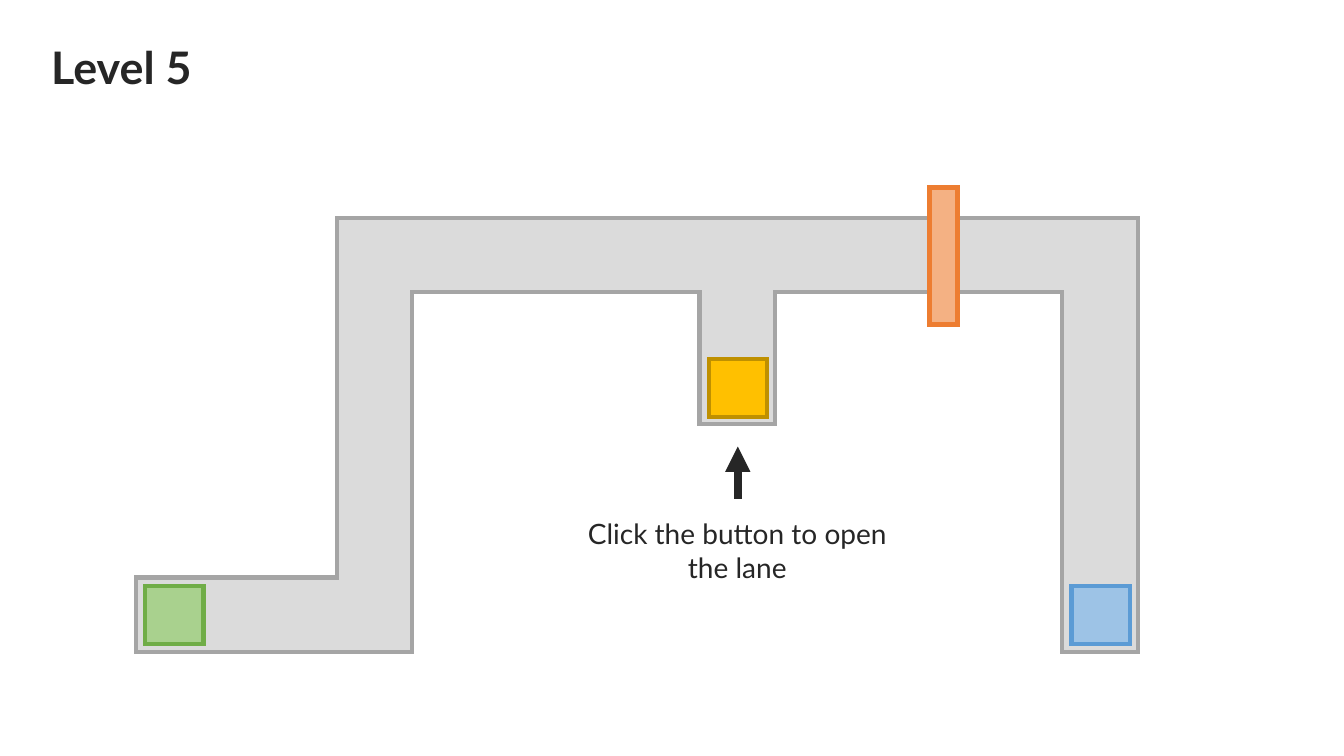
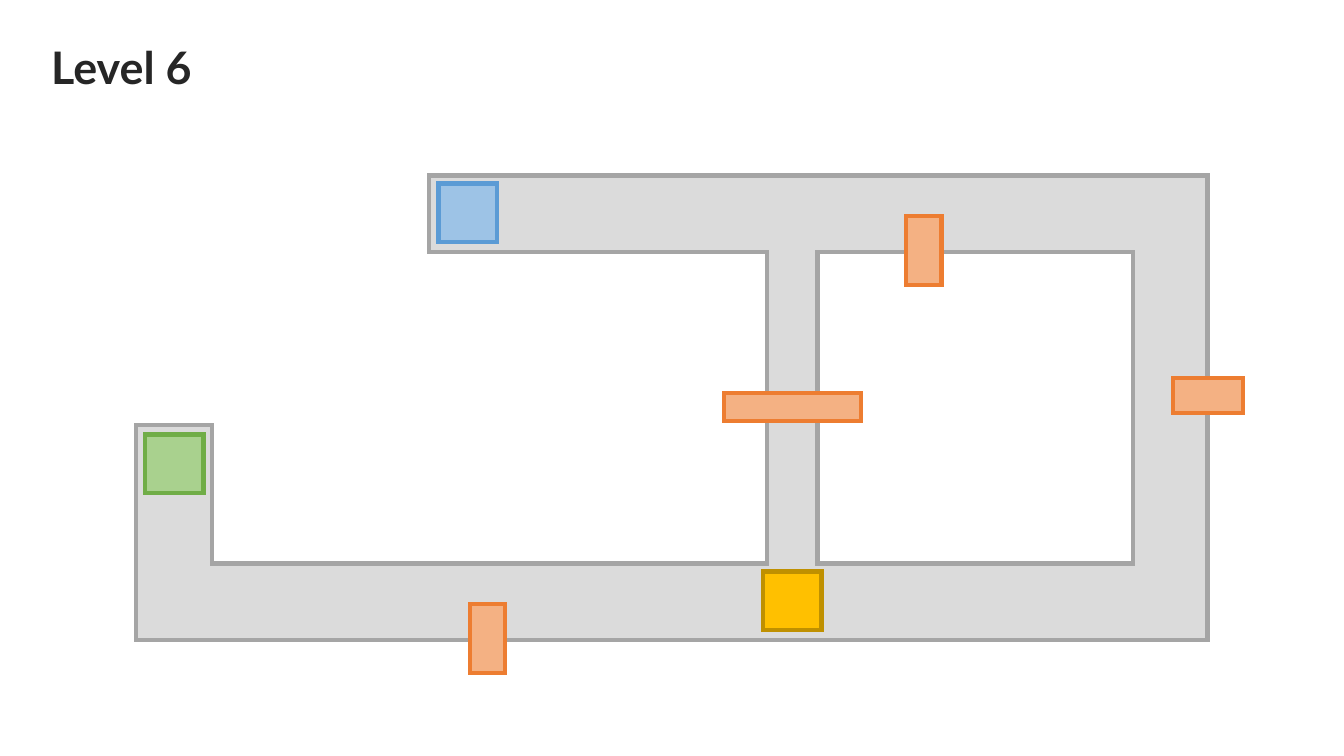
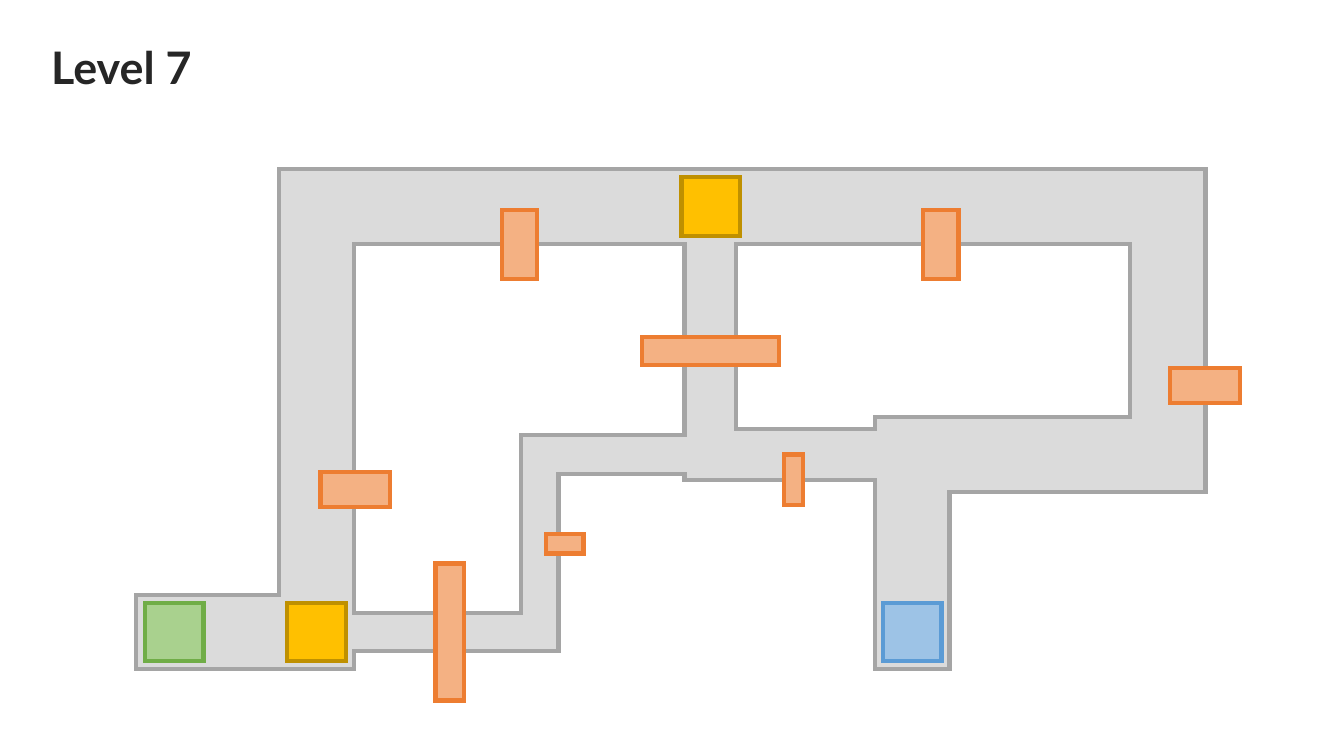
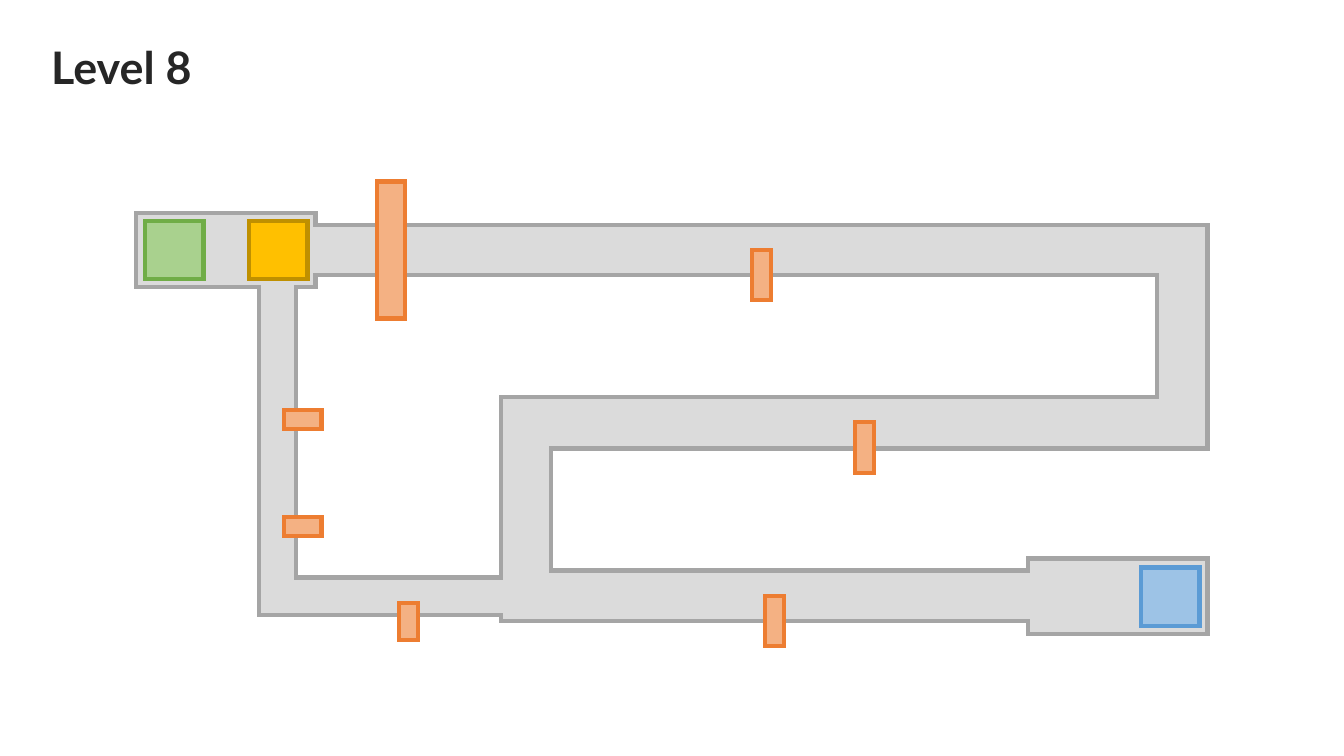
from dataclasses import dataclass
from itertools import chain

from lxml import etree
from pptx import Presentation
from pptx.dml.color import RGBColor
from pptx.enum.shapes import MSO_CONNECTOR, MSO_SHAPE
from pptx.enum.text import MSO_AUTO_SIZE, MSO_ANCHOR, PP_ALIGN
from pptx.oxml.ns import qn
from pptx.util import Inches, Pt

RECT = MSO_SHAPE.RECTANGLE
STRAIGHT = MSO_CONNECTOR.STRAIGHT
LEFT, CENTER = PP_ALIGN.LEFT, PP_ALIGN.CENTER
FIT, TOP = MSO_AUTO_SIZE.SHAPE_TO_FIT_TEXT, MSO_ANCHOR.TOP

COLS, ROWS = 133.33, 75
CELL = Inches(0.1)
INK = "262626"


@dataclass(frozen=True)
class Paint:
    fill: str
    edge: str


LANE = Paint("DBDBDB", "A5A5A5")
START = Paint("A9D18E", "70AD47")
GOAL = Paint("9DC3E6", "5B9BD5")
GATE = Paint("F4B183", "ED7D31")
BUTTON = Paint("FFC000", "BF9000")

TILE = (5.8, 5.8)
LONG, WIDE, SHORT, TINY = (2.8, 13.6), (3.5, 6.9), (1.9, 5), (1.9, 3.7)

Point = tuple[float, float]


@dataclass(frozen=True)
class Gate:
    size: Point
    mid: Point
    turn: int = 0


@dataclass(frozen=True)
class Level:
    """Each outline lists corner columns and rows in turn: x, y, x, y..."""
    title: str
    lanes: list[list[float]]
    start: Point
    goal: Point
    gates: list[Gate]
    buttons: list[Point]
    hint: tuple[str, ...] = ()


LEVELS = [
    Level(
        "Level 5",
        [[33.4, 21.6, 112.9, 64.7, 105.4, 29, 76.9, 42.1, 69.4, 29,
          40.9, 64.7, 13.5, 57.3]],
        (17.3, 61), (109.2, 61),
        [Gate(LONG, (93.6, 25.4))],
        [(73.2, 38.5)],
        ("Click the button to open", "the lane"),
    ),
    Level(
        "Level 6",
        [[81.1, 25, 112.4, 55.9],
         [42.6, 17.4, 119.8, 63.5, 13.5, 42.2, 21, 55.9, 76.1, 25]],
        (17.3, 46), (46.4, 21.1),
        [Gate(WIDE, (48.35, 63.35)), Gate(WIDE, (119.85, 39.25), 270),
         Gate(WIDE, (91.65, 24.85)), Gate(LONG, (78.6, 40.4), 270)],
        [(78.6, 59.6)],
    ),
    Level(
        "Level 7",
        [[73, 42.6, 86.8, 41.4, 112.1, 24.2],
         [35.1, 60.8, 51.7, 43.2, 67.9, 24.2],
         [27.7, 16.8, 119.6, 48.8, 94.2, 66.4, 86.8, 47.6, 67.9, 47,
          55.4, 64.6, 35.1, 66.4, 13.5, 59]],
        (17.3, 62.7), (90.5, 62.7),
        [Gate(WIDE, (51.55, 24.25)), Gate(WIDE, (93.35, 24.25)),
         Gate(WIDE, (119.55, 38.25), 270), Gate(WIDE, (35.25, 48.55), 270),
         Gate(SHORT, (78.75, 47.6)), Gate(TINY, (56.05, 53.95), 270),
         Gate(LONG, (44.6, 62.7)), Gate(LONG, (70.5, 34.8), 270)],
        [(70.5, 20.5), (31.4, 62.7)],
    ),
    Level(
        "Level 8",
        [[31.3, 28.5, 29.4, 57.3, 49.7, 39.4, 114.8, 27.3],
         [13.5, 21.1, 31.3, 22.3, 119.8, 44.5, 54.7, 56.6, 102, 55.4,
          119.8, 62.9, 102, 61.6, 49.7, 61, 25.7, 28.5]],
        (17.3, 24.8), (116.1, 59.2),
        [Gate(SHORT, (75.55, 27.3)), Gate(SHORT, (85.75, 44.4)),
         Gate(SHORT, (76.85, 61.6)), Gate(TINY, (30.05, 41.65), 270),
         Gate(TINY, (30.05, 52.25), 270), Gate(TINY, (40.55, 61.65)),
         Gate(LONG, (38.8, 24.8))],
        [(27.6, 24.8)],
    ),
]


def color(code: str) -> RGBColor:
    return RGBColor.from_string(code)


def grid(*cells: float) -> list[int]:
    """Turn grid cells into slide units."""
    return [round(cell * CELL) for cell in cells]


def coat(shape, paint: Paint) -> None:
    """Give a shape its fill and a sharp-cornered edge."""
    shape.shadow.inherit = False
    shape.fill.solid()
    shape.fill.fore_color.rgb = color(paint.fill)
    shape.line.color.rgb = color(paint.edge)
    shape.line.width = Pt(3)
    edge = shape.element.spPr.find(qn("a:ln"))
    etree.SubElement(edge, qn("a:miter"), lim="800000")


def block(slide, size: Point, mid: Point, paint: Paint, turn: int = 0) -> None:
    """Draw a rectangle about its middle."""
    (wide, high), (x, y) = size, mid
    box = grid(x - wide / 2, y - high / 2, wide, high)
    shape = slide.shapes.add_shape(RECT, *box)
    shape.rotation = turn
    coat(shape, paint)


def corners(turns: list[float]) -> list[list[int]]:
    """Expand alternating columns and rows into right-angled corners."""
    xs, ys = turns[::2], turns[1::2]
    ends = xs[1:] + xs[:1]
    pairs = chain.from_iterable(
        ((x, y), (end, y)) for x, end, y in zip(xs, ends, ys))
    return [grid(*pair) for pair in pairs]


def lane(slide, paths: list[list[float]]) -> None:
    first, *rest = map(corners, paths)
    pen = slide.shapes.build_freeform(*first[0])
    pen.add_line_segments(first[1:], close=True)
    for path in rest:
        pen.move_to(*path[0])
        pen.add_line_segments(path[1:], close=True)
    coat(pen.convert_to_shape(), LANE)


def label(slide, box: tuple[float, ...], lines: tuple[str, ...], size: int,
          bold: bool = False, align: PP_ALIGN = LEFT) -> None:
    frame = slide.shapes.add_textbox(*grid(*box)).text_frame
    frame.text = "\n".join(lines)
    for key, value in {"word_wrap": False, "auto_size": FIT,
                       "vertical_anchor": TOP}.items():
        setattr(frame, key, value)
    style = {"name": "Lato", "size": Pt(size), "bold": bold}
    for para in frame.paragraphs:
        para.alignment = align
        for run in para.runs:
            run.font.color.rgb = color(INK)
            for key, value in style.items():
                setattr(run.font, key, value)


def arrow(slide, tail: Point, tip: Point) -> None:
    line = slide.shapes.add_connector(STRAIGHT, *grid(*tail, *tip))
    line.line.color.rgb = color(INK)
    line.line.width = Pt(6)
    props = line.element.spPr
    etree.SubElement(props.find(qn("a:ln")), qn("a:tailEnd"), type="triangle")
    etree.SubElement(props, qn("a:effectLst"))


def draw(slide, level: Level) -> None:
    if level.hint:
        arrow(slide, (73.2, 49.5), (73.2, 44.3))
        label(slide, (57, 50.8, 32.3, 7.7), level.hint, 20, align=CENTER)
    label(slide, (4.1, 3.4, 16.7, 6.4), (level.title,), 32, bold=True)
    lane(slide, level.lanes)
    block(slide, TILE, level.start, START)
    block(slide, TILE, level.goal, GOAL)
    for gate in level.gates:
        block(slide, gate.size, gate.mid, GATE, gate.turn)
    for mid in level.buttons:
        block(slide, TILE, mid, BUTTON)


def main() -> None:
    deck = Presentation()
    deck.slide_width, deck.slide_height = grid(COLS, ROWS)
    blank = deck.slide_layouts[6]
    for level in LEVELS:
        draw(deck.slides.add_slide(blank), level)
    deck.save("out.pptx")


if __name__ == "__main__":
    main()
